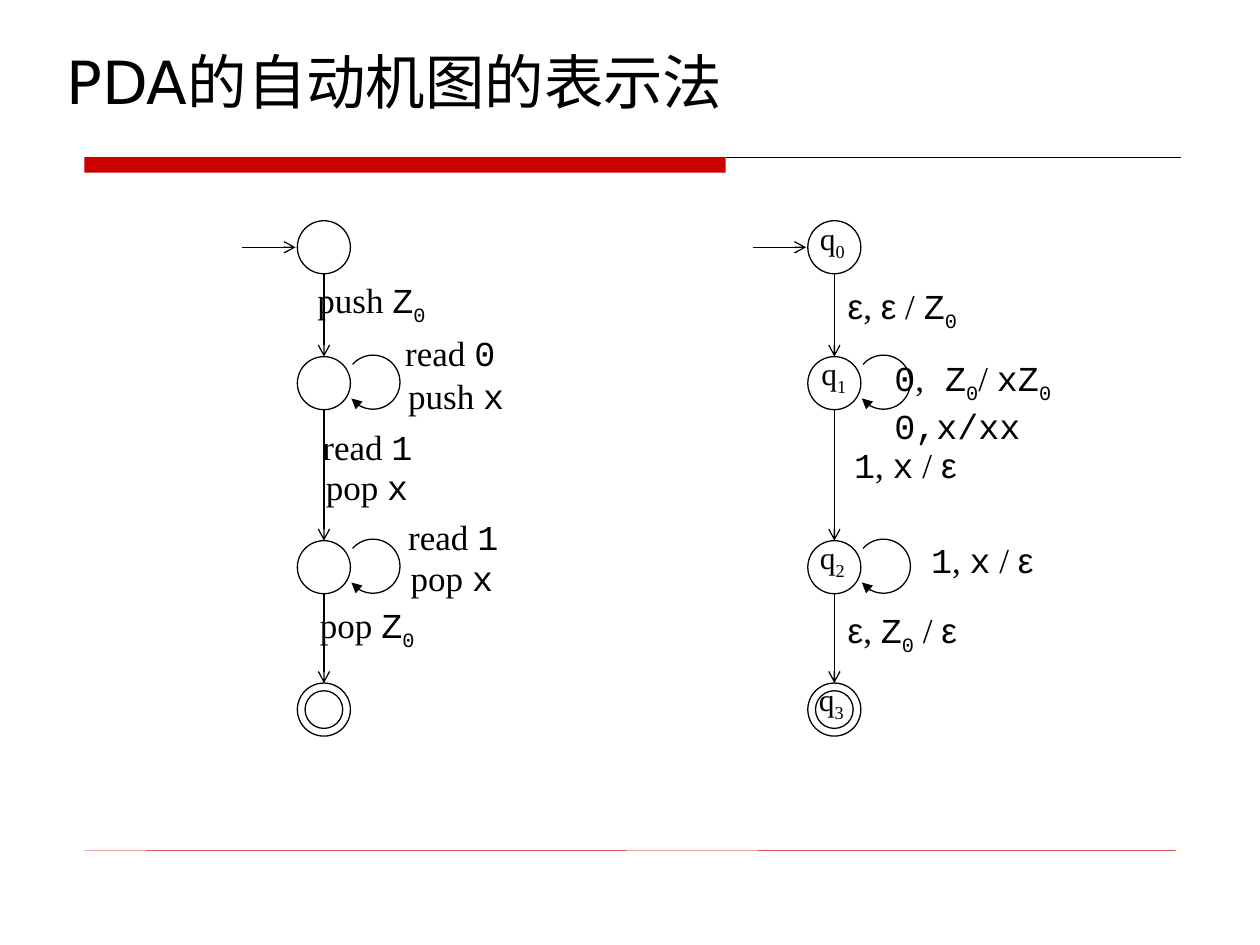
from typing import NamedTuple

import pptx
import pptx.dml.color
import pptx.enum.shapes
import pptx.enum.text
import pptx.oxml.ns
import pptx.util
from lxml import etree
from pptx.util import Cm

COLORS = {"ink": "000000", "accent": "CC0000"}
SERIF, MONO, SANS = "Times New Roman", "Courier New", "Arial"
STATE_SIZE, FINAL_INNER_SIZE, LOOP_SIZE = 1.07, 0.76, 1.09
STATE_TOPS = (4.45, 7.19, 10.9, 13.77)
AUTOMATON_CENTERS = (6.53, 16.82)
LOOP_ANGLES = (221, 143)
ARC_UNITS_PER_DEGREE = 0.6


class Run(NamedTuple):
    text: str
    font: str
    subscript: bool = False


class Label(NamedTuple):
    left: float
    top: float
    width: float
    lines: tuple
    size: float = 20
    height: float = 1.12


ZERO = Run("0", MONO, True)
BOTTOM = (Run("Z", MONO), ZERO)
EPSILON = Run("ε", SANS)
COMMA, SLASH = Run(", ", SERIF), Run(" / ", SERIF)
POP_ON_ONE = (Run("1", MONO), COMMA, Run("x", MONO), SLASH, EPSILON)


def action(verb: str, *operand: Run) -> tuple:
    return ((Run(verb + " ", SERIF), *operand),)


LABELS = [
    Label(6.15, 5.49, 3.0, action("push", *BOTTOM), height=1.22),
    Label(7.92, 6.55, 2.64, action("read", Run("0", MONO))),
    Label(7.98, 7.42, 2.77, action("push", Run("x", MONO))),
    Label(6.25, 8.46, 2.64, action("read", Run("1", MONO))),
    Label(6.32, 9.25, 2.39, action("pop", Run("x", MONO))),
    Label(7.98, 10.26, 2.64, action("read", Run("1", MONO))),
    Label(8.03, 11.1, 2.39, action("pop", Run("x", MONO))),
    Label(6.2, 12.04, 2.64, action("pop", *BOTTOM), height=1.22),
    Label(16.84, 5.61, 2.72, ((EPSILON, COMMA, EPSILON, SLASH, *BOTTOM),),
          height=1.22),
    Label(17.78, 7.06, 3.96, (
        (Run("0", MONO), Run(",", SERIF), Run(" Z", MONO), ZERO,
         Run("/ ", SERIF), Run("xZ", MONO), ZERO),
        (Run("0,x/xx", MONO),)), height=2.08),
    Label(16.97, 8.81, 2.59, (POP_ON_ONE,)),
    Label(18.52, 10.74, 2.59, (POP_ON_ONE,)),
    Label(16.84, 12.14, 2.72, ((EPSILON, COMMA, *BOTTOM, SLASH, EPSILON),),
          height=1.22),
]
STATE_NAMES = [
    Label(left, top, 1.09, ((Run("q", SERIF), Run(str(index), SERIF, True)),), 18)
    for index, (left, top) in enumerate(
        [(16.28, 4.29), (16.31, 7.01), (16.28, 10.72), (16.26, 13.59)])
]


def rgb(name: str) -> pptx.dml.color.RGBColor:
    return pptx.dml.color.RGBColor.from_string(COLORS[name])


def set_line(shape, color: str = "ink", width: float = 0.75, arrowhead: str = "") -> None:
    shape.line.color.rgb = rgb(color)
    shape.line.width = pptx.util.Pt(width)
    if arrowhead:
        line = shape.line._get_or_add_ln()
        etree.SubElement(line, pptx.oxml.ns.qn("a:tailEnd"), type=arrowhead)


def add_line(slide, start: tuple, end: tuple, **style) -> None:
    connector = slide.shapes.add_connector(
        pptx.enum.shapes.MSO_CONNECTOR.STRAIGHT,
        *(Cm(value) for value in (*start, *end)))
    set_line(connector, **style)
    etree.SubElement(connector._element.spPr, pptx.oxml.ns.qn("a:effectLst"))


def add_outline(slide, kind, center_x: float, top: float, size: float):
    shape = slide.shapes.add_shape(
        kind, Cm(center_x - size / 2), Cm(top), Cm(size), Cm(size))
    shape.shadow.inherit = False
    shape.fill.background()
    set_line(shape)
    return shape


def add_loop(slide, center_x: float, state_top: float) -> None:
    loop = add_outline(slide, pptx.enum.shapes.MSO_SHAPE.ARC,
                       center_x + 0.99, state_top - 0.03, LOOP_SIZE)
    for index, angle in enumerate(LOOP_ANGLES):
        loop.adjustments[index] = angle * ARC_UNITS_PER_DEGREE
    set_line(loop, arrowhead="triangle")


def add_automaton(slide, center_x: float) -> None:
    """Draw four states in a column, with entry arrow, transitions and loops."""
    oval = pptx.enum.shapes.MSO_SHAPE.OVAL
    entry_y = STATE_TOPS[0] + STATE_SIZE / 2
    add_line(slide, (center_x - 1.65, entry_y), (center_x - 0.57, entry_y),
             arrowhead="arrow")
    for top in STATE_TOPS:
        add_outline(slide, oval, center_x, top, STATE_SIZE)
    add_outline(slide, oval, center_x,
                STATE_TOPS[-1] + (STATE_SIZE - FINAL_INNER_SIZE) / 2,
                FINAL_INNER_SIZE)
    for top, next_top in zip(STATE_TOPS, STATE_TOPS[1:]):
        add_line(slide, (center_x, top + STATE_SIZE), (center_x, next_top),
                 arrowhead="arrow")
    for top in STATE_TOPS[1:3]:
        add_loop(slide, center_x, top)


def add_label(slide, label: Label) -> None:
    box = slide.shapes.add_textbox(
        Cm(label.left), Cm(label.top), Cm(label.width), Cm(label.height))
    frame = box.text_frame
    frame.word_wrap = False
    frame.auto_size = pptx.enum.text.MSO_AUTO_SIZE.SHAPE_TO_FIT_TEXT
    for index, line in enumerate(label.lines):
        paragraph = frame.add_paragraph() if index else frame.paragraphs[0]
        for part in line:
            run = paragraph.add_run()
            run.text = part.text
            run.font.name = part.font
            run.font.size = pptx.util.Pt(label.size)
            run.font.color.rgb = rgb("ink")
            if part.subscript:
                run._r.get_or_add_rPr().set("baseline", "-25000")


def add_title(slide) -> None:
    box = slide.shapes.add_textbox(Cm(1.09), Cm(0.71), Cm(23.22), Cm(1.83))
    frame = box.text_frame
    frame.word_wrap = True
    frame.vertical_anchor = pptx.enum.text.MSO_ANCHOR.MIDDLE
    frame.text = "PDA的自动机图的表示法"
    font = frame.paragraphs[0].runs[0].font
    font.name = "DejaVu Sans"
    font.size = pptx.util.Pt(34)
    font.color.rgb = rgb("ink")


def add_rules(slide) -> None:
    bar = slide.shapes.add_shape(pptx.enum.shapes.MSO_SHAPE.RECTANGLE,
                                 Cm(1.7), Cm(3.17), Cm(12.93), Cm(0.31))
    bar.shadow.inherit = False
    bar.fill.solid()
    bar.fill.fore_color.rgb = rgb("accent")
    bar.line.fill.background()
    add_line(slide, (14.63, 3.17), (23.8, 3.17))
    add_line(slide, (1.7, 17.14), (23.7, 17.15), color="accent", width=0.25)


def main() -> None:
    presentation = pptx.Presentation()
    presentation.slide_width, presentation.slide_height = Cm(25.4), Cm(19.05)
    slide = presentation.slides.add_slide(presentation.slide_layouts[6])
    add_rules(slide)
    add_title(slide)
    for center_x in AUTOMATON_CENTERS:
        add_automaton(slide, center_x)
    for label in LABELS + STATE_NAMES:
        add_label(slide, label)
    presentation.save("out.pptx")


if __name__ == "__main__":
    main()
